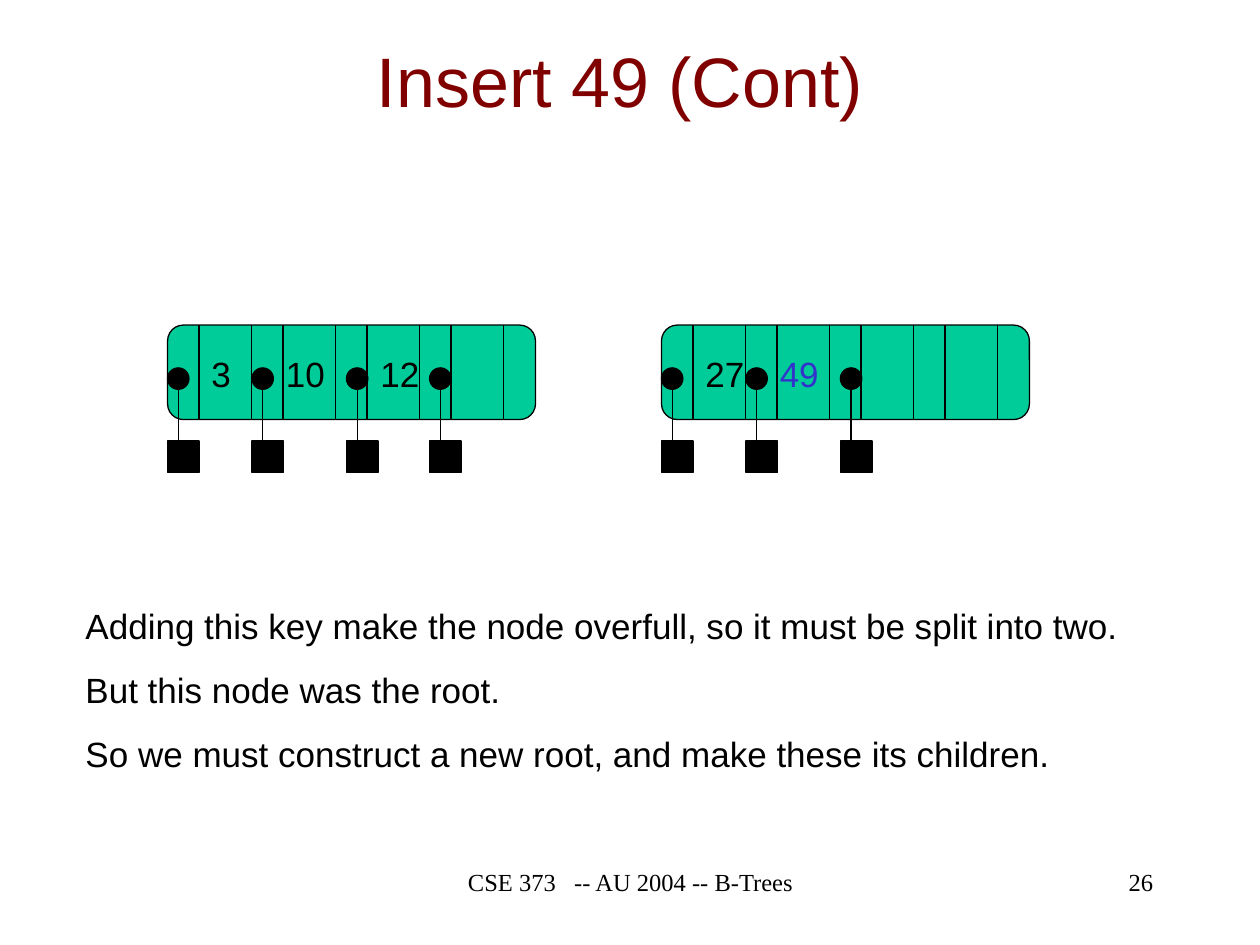
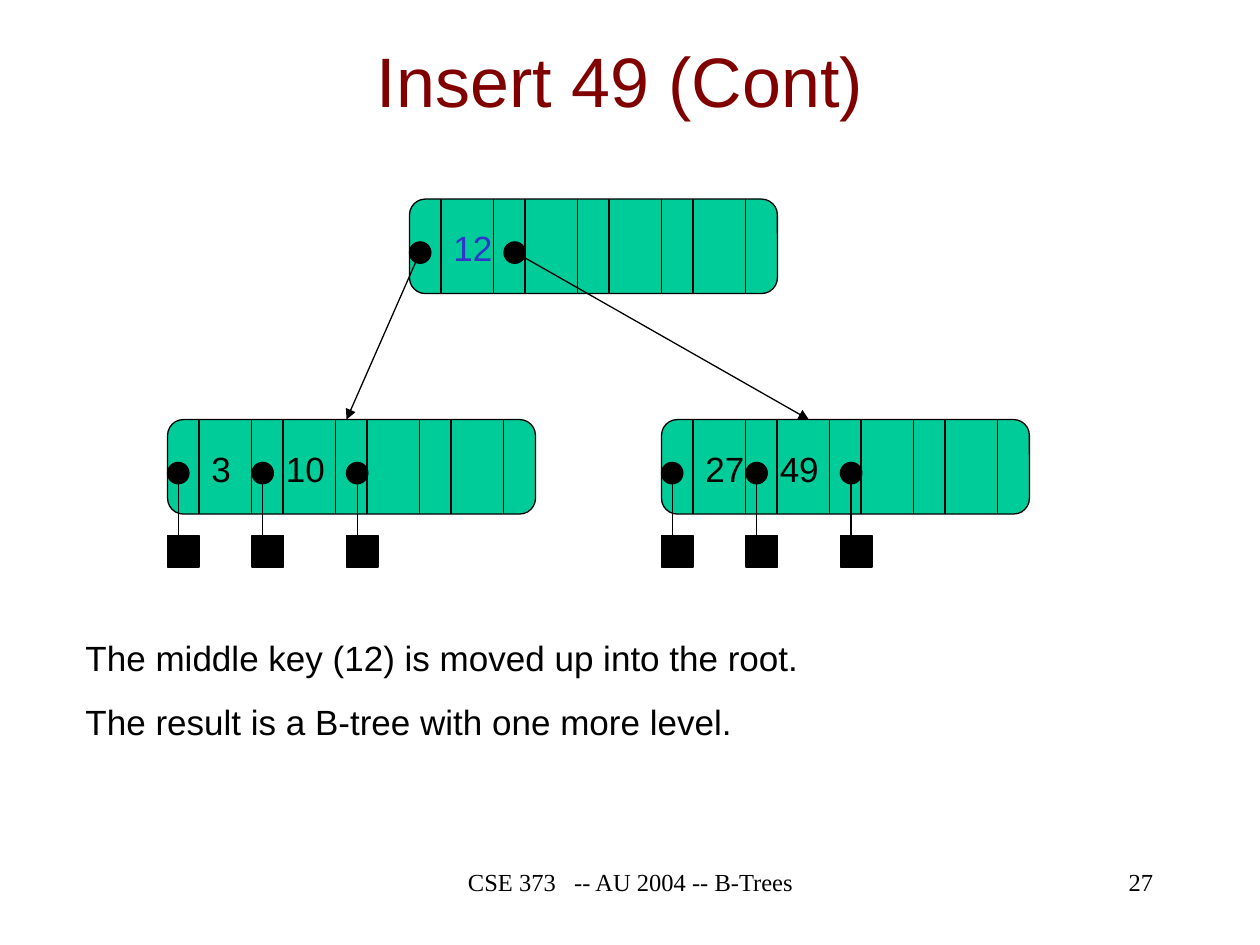
import pptx
import pptx.util
import pptx.dml.color
import pptx.enum.shapes
import pptx.enum.text
import pptx.oxml.ns
import lxml.etree

INK, RED, BLUE, GREEN = "000000", "800000", "3333CC", "00CC99"
TITLE = "Insert 49 (Cont)"
FOOT = "CSE 373   -- AU 2004 -- B-Trees"

SLIDES = [
    {
        "page": 26,
        "nodes": [
            {"at": (1.33, 2.58), "keys": ["3", "10", "12"]},
            {"at": (5.25, 2.58), "keys": ["27", "49"], "new": "49"},
        ],
        "body": [
            "Adding this key make the node overfull, so it must be split into two.",
            "But this node was the root.",
            "So we must construct a new root, and make these its children.",
        ],
        "top": 4.75,
    },
    {
        "page": 27,
        "nodes": [
            {"at": (1.33, 3.33), "keys": ["3", "10"]},
            {"at": (5.25, 3.33), "keys": ["27", "49"]},
            {"at": (3.25, 1.58), "keys": ["12"], "new": "12",
             "dots": (0, 0.75), "kids": [(2.75, 3.33), (6.42, 3.33)]},
        ],
        "body": [
            "The middle key (12) is moved up into the root.",
            "The result is a B-tree with one more level.",
        ],
        "top": 5,
    },
]

WIDE, HIGH = 2.92, 0.75
SLOTS, PITCH, GAP = 4, 2 / 3, 0.25
KEYS = (0.25, 0.84, 1.59)
DOTS = (0, 0.67, 1.42, 2.08)
DOT, LEAF = 0.17, 0.25

Inches = pptx.util.Inches
Shape = pptx.enum.shapes.MSO_SHAPE
Align = pptx.enum.text.PP_ALIGN
Fit = pptx.enum.text.MSO_AUTO_SIZE


def color(code):
    return pptx.dml.color.RGBColor.from_string(code)


def text(slide, lines, x, y, w, h, size=20, font="Arial", ink=INK,
         align=Align.LEFT, mid=False, wrap=True, grow=False, before=0):
    frame = slide.shapes.add_textbox(Inches(x), Inches(y), Inches(w), Inches(h)).text_frame
    frame.word_wrap = wrap
    frame.auto_size = Fit.SHAPE_TO_FIT_TEXT if grow else Fit.NONE
    if mid:
        frame.vertical_anchor = pptx.enum.text.MSO_ANCHOR.MIDDLE
    for i, line in enumerate(lines):
        para = frame.add_paragraph() if i else frame.paragraphs[0]
        para.alignment = align
        para.space_before = pptx.util.Pt(before)
        run = para.add_run()
        run.text = line
        run.font.size = pptx.util.Pt(size)
        run.font.name = font
        run.font.color.rgb = color(ink)


def shape(slide, kind, x, y, w, h, fill=INK):
    item = slide.shapes.add_shape(kind, Inches(x), Inches(y), Inches(w), Inches(h))
    item.shadow.inherit = False
    item.fill.solid()
    item.fill.fore_color.rgb = color(fill)
    item.line.color.rgb = color(INK)
    item.line.width = pptx.util.Pt(0.75)
    return item


def line(slide, start, end, arrow=False):
    item = slide.shapes.add_connector(
        pptx.enum.shapes.MSO_CONNECTOR.STRAIGHT, *map(Inches, (*start, *end)))
    item.line.color.rgb = color(INK)
    item.line.width = pptx.util.Pt(0.75)
    qn = pptx.oxml.ns.qn
    if arrow:
        props = item.line._get_or_add_ln()
        lxml.etree.SubElement(props, qn("a:tailEnd"), type="triangle")
    lxml.etree.SubElement(item._element.spPr, qn("a:effectLst"))


def node(slide, at, keys, new=None, dots=DOTS, kids=None):
    x, y = at
    box = shape(slide, Shape.ROUNDED_RECTANGLE, x, y, WIDE, HIGH, GREEN)
    box.adjustments[0] = 0.167
    for slot in range(SLOTS):
        for edge in (GAP, PITCH):
            bar = x + slot * PITCH + edge
            line(slide, (bar, y), (bar, y + HIGH))
    for key, left in zip(keys, KEYS):
        text(slide, [key], x + left, y + 0.17, 0.19 + 0.16 * len(key), 0.44,
             ink=BLUE if key == new else INK, wrap=False, grow=True)
    for i, left in enumerate(dots[:len(keys) + 1]):
        dot = x + left
        shape(slide, Shape.OVAL, dot, y + 0.34, DOT, DOT)
        start = (dot + DOT / 2, y + 0.42)
        end = kids[i] if kids else (start[0], y + 1.09)
        line(slide, start, end, arrow=True)
        if not kids:
            shape(slide, Shape.RECTANGLE, dot, y + 0.92, LEAF, LEAF)


def frame(slide, page):
    text(slide, [FOOT], 3.42, 6.83, 3.17, 0.5, size=14,
         font="Times New Roman", align=Align.CENTER)
    text(slide, [str(page)], 7.17, 6.83, 2.08, 0.5, size=14,
         font="Times New Roman", align=Align.RIGHT)
    text(slide, [TITLE], 0.67, 0.17, 8.5, 0.92, size=40, ink=RED,
         align=Align.CENTER, mid=True)


def main():
    deck = pptx.Presentation()
    deck.slide_width, deck.slide_height = Inches(10), Inches(7.5)
    for data in SLIDES:
        slide = deck.slides.add_slide(deck.slide_layouts[6])
        frame(slide, data["page"])
        for part in data["nodes"]:
            node(slide, **part)
        rows = data["body"]
        text(slide, rows, 0.58, data["top"], 9.08, 0.5 * len(rows) - 0.05,
             grow=True, before=12.5)
    deck.save("out.pptx")


if __name__ == "__main__":
    main()
